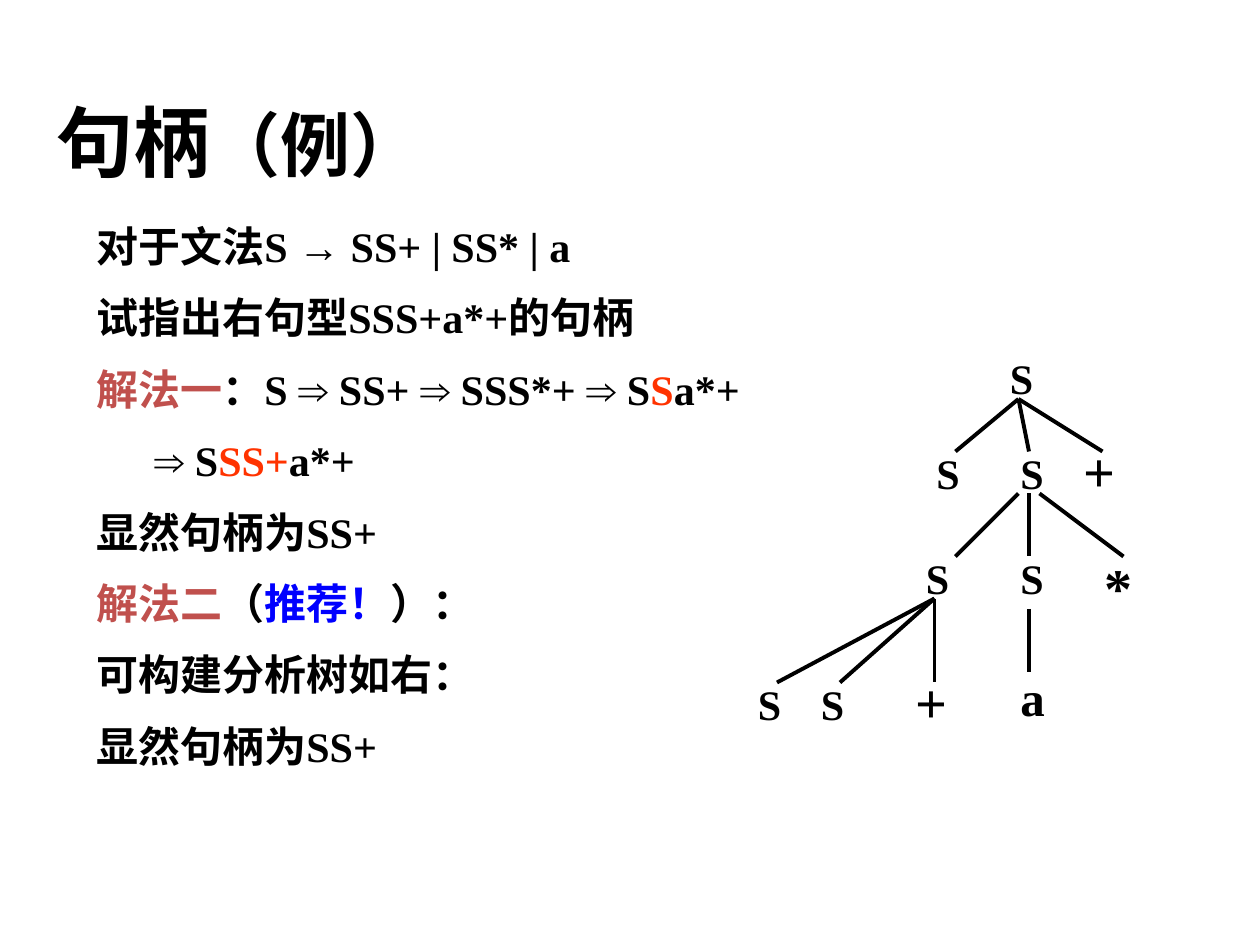
from pptx import Presentation
from pptx.dml.color import RGBColor
from pptx.enum.shapes import MSO_CONNECTOR
from pptx.enum.text import MSO_ANCHOR
from pptx.oxml.ns import qn
from pptx.util import Pt
from lxml.etree import SubElement

HEX = {"black": "000000", "brick": "C0504D", "red": "FF3300", "blue": "0000FF"}
HAN, ROMAN = "Noto Sans CJK SC", "Times New Roman"

deck = Presentation()
deck.slide_width, deck.slide_height = Pt(720), Pt(540)
slide = deck.slides.add_slide(deck.slide_layouts[6])


def add_box(left, top, width, height, wrap=True):
    frame = slide.shapes.add_textbox(Pt(left), Pt(top), Pt(width), Pt(height)).text_frame
    frame.word_wrap = wrap
    return frame


def add_run(para, text, size, face, color="black"):
    run = para.add_run()
    run.text = text
    font = run.font
    font.size, font.bold, font.name = Pt(size), True, face
    font.color.rgb = RGBColor.from_string(HEX[color])
    SubElement(font._element, qn("a:ea")).set("typeface", HAN)


# Title
frame = add_box(25.2, 49.7, 648, 61.2)
frame.vertical_anchor = MSO_ANCHOR.MIDDLE
for text, size in (("句柄", 44), ("（例）", 40)):
    add_run(frame.paragraphs[0], text, size, HAN)

# Worked example: runs of text, face and colour
lines = [
    [("对于文法", HAN), ("S → SS+ | SS* | a", ROMAN)],
    [("试指出右句型", HAN), ("SSS+a*+", ROMAN), ("的句柄", HAN)],
    [("解法一", HAN, "brick"), ("：", HAN), ("S ⇒ SS+ ⇒ SSS*+ ⇒ S", ROMAN),
     ("S", ROMAN, "red"), ("a*+", ROMAN)],
    [("\t ⇒ S", ROMAN), ("SS+", ROMAN, "red"), ("a*+", ROMAN)],
    [("显然句柄为", HAN), ("SS+", ROMAN)],
    [("解法二", HAN, "brick"), ("（", HAN), ("推荐！", HAN, "blue"), ("）：", HAN)],
    [("可构建分析树如右：", HAN)],
    [("显然句柄为", HAN), ("SS+", ROMAN)],
]
frame = add_box(48, 120, 450, 372)
for row, runs in enumerate(lines):
    para = frame.add_paragraph() if row else frame.paragraphs[0]
    para.line_spacing = Pt(31.3)
    para.space_before = Pt(9.5 if row else 0)
    props = para._p.get_or_add_pPr()
    props.set("marL", str(Pt(27)))
    props.set("indent", str(Pt(-27)))
    for text, face, *color in runs:
        add_run(para, text, 24, face, *color)

# Parse tree symbols: text, left, top, size
nodes = [
    ("S", 570, 198, 24),
    ("S", 528, 252, 24), ("S", 576, 252, 24), ("+", 612, 246, 32),
    ("S", 522, 312, 24), ("S", 576, 312, 24), ("*", 624, 312, 32),
    ("S", 426, 384, 24), ("S", 462, 384, 24), ("+", 516, 378, 32), ("a", 576, 378, 28),
]
for text, left, top, size in nodes:
    para = add_box(left, top, 30, size * 1.2 + 7.2).paragraphs[0]
    space = SubElement(para._p.get_or_add_pPr(), qn("a:spcBef"))
    SubElement(space, qn("a:spcPct")).set("val", "50000")
    add_run(para, text, size, ROMAN)

# Parse tree branches: start x, start y, end x, end y
edges = [(582, 228, x, 258) for x in (546, 588, 630)]
edges += [(x, 282, end, 318) for x, end in ((582, 546), (588, 588), (594, 642))]
edges += [(534, 342, x, 390) for x in (444, 480, 534)]
edges += [(588, 348, 588, 384)]
for edge in edges:
    line = slide.shapes.add_connector(MSO_CONNECTOR.STRAIGHT, *map(Pt, edge))
    line.line.width = Pt(2.25)
    line.line.color.rgb = RGBColor.from_string(HEX["black"])
    SubElement(line._element.spPr, qn("a:effectLst"))

deck.save("out.pptx")
